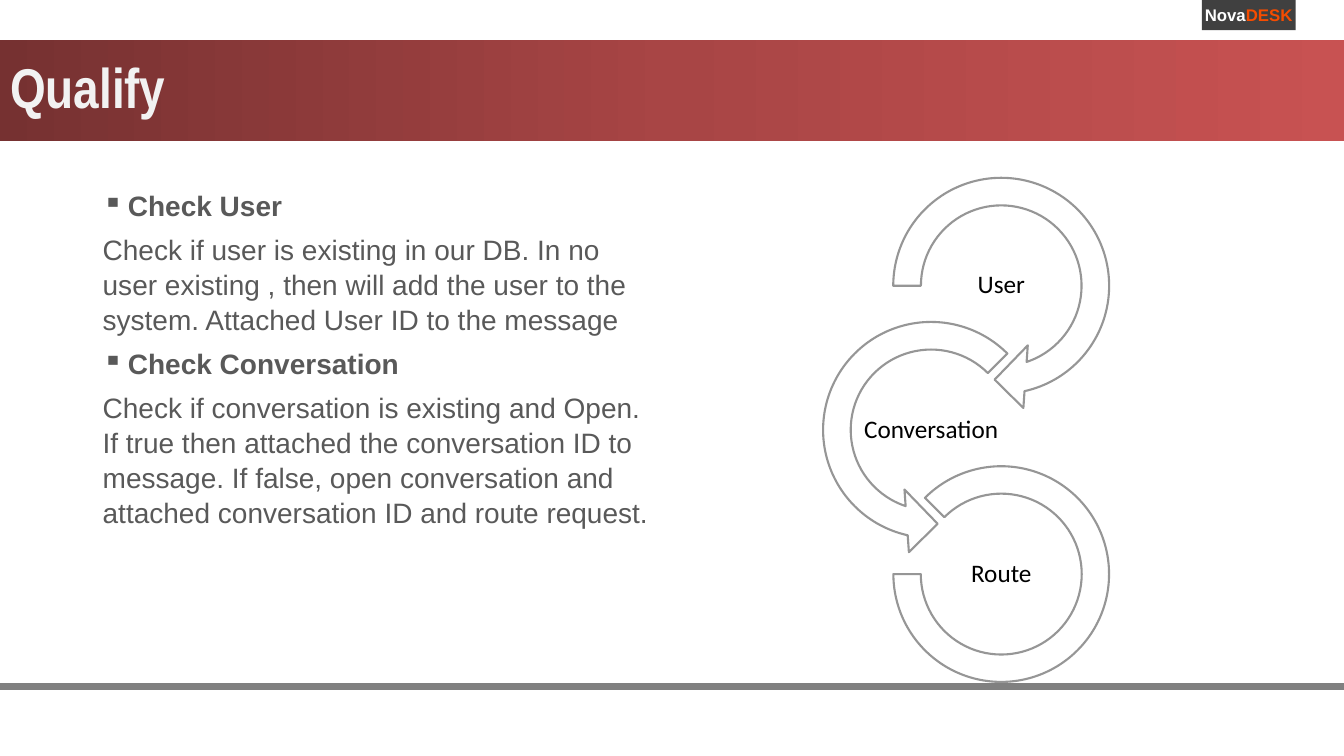
from copy import deepcopy

from pptx import Presentation
from pptx.dml.color import RGBColor
from pptx.enum.shapes import MSO_CONNECTOR, MSO_SHAPE
from pptx.enum.text import MSO_ANCHOR, MSO_AUTO_SIZE, PP_ALIGN
from pptx.oxml.ns import qn
from pptx.util import Inches, Pt

WIDTH, HEIGHT = Inches(13.333), Inches(7.5)
RECTANGLE, STRAIGHT = MSO_SHAPE.RECTANGLE, MSO_CONNECTOR.STRAIGHT
MIDDLE, LEFT, CENTER = MSO_ANCHOR.MIDDLE, PP_ALIGN.LEFT, PP_ALIGN.CENTER

# Stage: label, preset, adjustments, centre x and diameter in % of slide width
STAGES = [
    ("User", MSO_SHAPE.CIRCULAR_ARROW, (0.11, 11.42, 45, 108, 0.125), 74.5, 18.68),
    ("Conversation", MSO_SHAPE.LEFT_CIRCULAR_ARROW, (0.11, 11.42, 63, 189, 0.125), 69.28, 18.68),
    ("Route", MSO_SHAPE.BLOCK_ARC, (135, 108, 0.127), 74.5, 16.05),
]
FIRST_STAGE_Y, STAGE_STEP = 37.8, 19.07

CHECKS = [
    ("Check User",
     "Check if user is existing in our DB. In no user existing , then will add the user "
     "to the system. Attached User ID to the message"),
    ("Check Conversation",
     "Check if conversation is existing and Open. If true then attached the conversation ID "
     "to message. If false, open conversation and attached conversation ID and route request."),
]


def color(hex_text):
    return RGBColor.from_string(hex_text)


def across(percent):
    return round(WIDTH * percent / 100)


def down(percent):
    return round(HEIGHT * percent / 100)


def area(left, top, width, height):
    """Turn shares of the slide in percent into lengths."""
    return across(left), down(top), across(width), down(height)


def add_run(paragraph, text, size, font, hex_text, bold=False):
    run = paragraph.add_run()
    run.text = text
    run.font.size, run.font.name, run.font.bold = Pt(size), font, bold
    run.font.color.rgb = color(hex_text)


def set_margins(frame, inches):
    frame.margin_left = frame.margin_right = Inches(inches)
    frame.margin_top = frame.margin_bottom = Inches(inches)


def add_title(slide, text):
    title = slide.shapes.title
    title.left, title.top, title.width, title.height = area(0, 5.33, 100, 13.33)
    title.fill.gradient()
    title.fill.gradient_angle = 0
    # A third stop between the two that a new gradient has
    stop_list = title._element.spPr.find(".//" + qn("a:gsLst"))
    stop_list.insert(1, deepcopy(stop_list[0]))
    bands = [(0, "763131"), (0.5, "A84545"), (1, "C85252")]
    for stop, (position, shade) in zip(title.fill.gradient_stops, bands):
        stop.position = position
        stop.color.rgb = color(shade)
    frame = title.text_frame
    frame.auto_size = MSO_AUTO_SIZE.NONE
    frame.vertical_anchor = MIDDLE
    paragraph = frame.paragraphs[0]
    paragraph.alignment, paragraph.line_spacing = LEFT, 0.9
    add_run(paragraph, text, 40, "Arial Narrow", "F2F2F2", True)


def add_footer_line(slide):
    line = slide.shapes.add_connector(STRAIGHT, 0, down(90.8), WIDTH, down(90.8))
    line.line.color.rgb = color("808080")
    line.line.width = Pt(4.5)
    line._element.spPr.add_effectLst() if hasattr(line._element.spPr, "add_effectLst") else \
        line._element.spPr.append(line._element.spPr.makeelement(qn("a:effectLst"), {}))


def add_tag(slide, first, second):
    tag = slide.shapes.add_shape(RECTANGLE, *area(89.42, 0, 6.98, 4))
    tag.shadow.inherit = False
    tag.fill.solid()
    tag.fill.fore_color.rgb = color("404040")
    tag.line.fill.background()
    tag.text_frame.word_wrap = False
    paragraph = tag.text_frame.paragraphs[0]
    paragraph.alignment = CENTER
    add_run(paragraph, first, 12, "Arial", "FFFFFF", True)
    add_run(paragraph, second, 12, "Arial", "F64C00", True)


def add_bullet(paragraph):
    properties = paragraph._p.get_or_add_pPr()
    properties.set("marL", str(Inches(0.25)))
    properties.set("indent", str(-Inches(0.25)))
    bullet = properties.makeelement(qn("a:buChar"), {"char": "▪"})
    properties.append(bullet)


def add_checks(slide):
    frame = slide.shapes.add_textbox(*area(6.9, 24.13, 42.54, 56.93)).text_frame
    frame.word_wrap = True
    lines = [(text, is_heading) for check in CHECKS
             for text, is_heading in zip(check, (True, False))]
    for index, (text, is_heading) in enumerate(lines):
        paragraph = frame.add_paragraph() if index else frame.paragraphs[0]
        paragraph.space_before = Pt(6.5)
        paragraph.line_spacing = 1.04
        if is_heading:
            add_bullet(paragraph)
        add_run(paragraph, text, 20, "Arial", "595959", is_heading)


def add_stage(shapes, label, preset, adjustments, center_x, center_y, diameter):
    # Ring
    size = across(diameter)
    ring = shapes.add_shape(preset, across(center_x) - size // 2,
                            down(center_y) - size // 2, size, size)
    ring.shadow.inherit = False
    for index, value in enumerate(adjustments):
        ring.adjustments[index] = value
    ring.fill.solid()
    ring.fill.fore_color.rgb = color("FFFFFF")
    ring.line.color.rgb = color("969696")
    ring.line.width = Pt(1.5)
    # Label in the middle of the ring
    box = area(center_x - 5.18, center_y - 4.6, 10.36, 9.2)
    frame = shapes.add_textbox(*box).text_frame
    frame.word_wrap = True
    frame.vertical_anchor = MIDDLE
    set_margins(frame, 0.01)
    paragraph = frame.paragraphs[0]
    paragraph.alignment, paragraph.line_spacing = CENTER, 0.9
    add_run(paragraph, label, 18, "Calibri", "000000")


def main():
    presentation = Presentation()
    presentation.slide_width, presentation.slide_height = WIDTH, HEIGHT
    slide = presentation.slides.add_slide(presentation.slide_layouts[5])
    # Frame of the slide
    add_footer_line(slide)
    add_tag(slide, "Nova", "DESK")
    add_title(slide, "Qualify")
    # Chain of stages
    chain = slide.shapes.add_group_shape().shapes
    for row, (label, preset, adjustments, center_x, diameter) in enumerate(STAGES):
        center_y = FIRST_STAGE_Y + row * STAGE_STEP
        add_stage(chain, label, preset, adjustments, center_x, center_y, diameter)
    # Explanation
    add_checks(slide)
    presentation.save("out.pptx")


if __name__ == "__main__":
    main()
